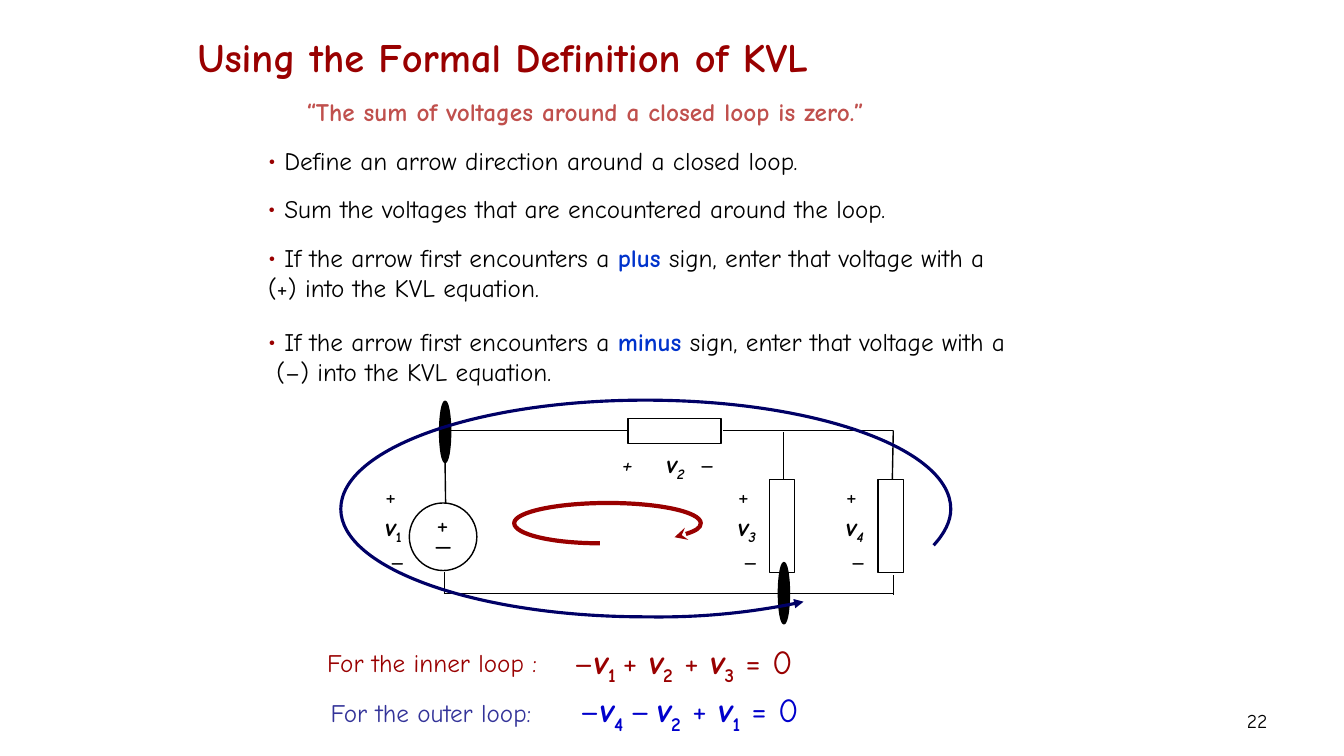
"""Build a slide on the formal definition of Kirchhoff's voltage law."""
from lxml.etree import SubElement
from pptx import Presentation
from pptx.dml.color import RGBColor
from pptx.enum.shapes import MSO_SHAPE as Shape
from pptx.enum.text import MSO_ANCHOR as Anchor, PP_ALIGN as Align
from pptx.oxml.ns import qn
from pptx.util import Inches, Pt

FONT = "Comic Neue"
BLACK, RED, NAVY, BLUE = "000000", "990000", "000066", "0033CC"


def color(hex_code):
    return RGBColor.from_string(hex_code)


def add_text(left, top, width, height, lines, size=18, ink=BLACK, align=Align.LEFT):
    """Add a text box; each line is a list of (text, marks, optional colour)."""
    box = page.shapes.add_textbox(Inches(left), Inches(top), Inches(width), Inches(height))
    frame = box.text_frame
    frame.word_wrap = True
    for index, line in enumerate(lines):
        para = frame.add_paragraph() if index else frame.paragraphs[0]
        para.alignment = align
        para.font.name, para.font.size = FONT, Pt(size)
        para.font.color.rgb = color(ink)
        for text, marks, *own_ink in line:
            for part_index, part in enumerate(text.split("\n")):
                if part_index:
                    para.add_line_break()
                span = para.add_run()
                span.text = part
                if "b" in marks:
                    span.font.bold = True
                if "i" in marks:
                    span.font.italic = True
                if "_" in marks:
                    span._r.get_or_add_rPr().set("baseline", "-25000")
                if own_ink:
                    span.font.color.rgb = color(own_ink[0])
    return frame


deck = Presentation()
deck.slide_width, deck.slide_height = Inches(13.33), Inches(7.5)
page = deck.slides.add_slide(deck.slide_layouts[5])

title = page.shapes.title
title.left, title.top, title.width, title.height = map(Inches, (1.86, 0.2, 7.8, 0.71))
title.text_frame.text = "Using the Formal Definition of KVL"
title.text_frame.vertical_anchor = Anchor.MIDDLE
heading = title.text_frame.paragraphs[0]
heading.alignment = Align.LEFT
heading.font.name, heading.font.size, heading.font.bold = FONT, Pt(28.8), True
heading.font.color.rgb = color(RED)

number = add_text(9.56, 6.95, 3.11, 0.4, [[("22", "")]], 14, align=Align.RIGHT)
number.vertical_anchor = Anchor.MIDDLE

wires = [
    (4.41, 4.28, 4.42, 5), (4.41, 5.82, 4.41, 5.67),
    (4.4, 4.27, 6.27, 4.27), (7.17, 4.27, 8.86, 4.27),
    (7.77, 5.88, 7.77, 5.68), (7.77, 4.29, 7.77, 4.77),
    (8.86, 4.27, 8.85, 4.76), (8.86, 5.9, 8.86, 5.7),
    (4.4, 5.89, 8.86, 5.89), (4.41, 5.89, 4.41, 5.72),
]
for ends in wires:
    wire = page.shapes.add_connector(1, *map(Inches, ends))
    wire.line.color.rgb = color(BLACK)
    wire.line.width = Pt(1)
    SubElement(wire._element.spPr, qn("a:effectLst"))

parts = [
    (Shape.OVAL, 4.06, 4.99, 0.67, 0.67, "FFFFFF"),
    (Shape.RECTANGLE, 6.23, 4.15, 0.92, 0.25, "FFFFFF"),
    (Shape.RECTANGLE, 7.63, 4.76, 0.25, 0.92, "FFFFFF"),
    (Shape.RECTANGLE, 8.71, 4.76, 0.25, 0.92, "FFFFFF"),
    (Shape.OVAL, 4.36, 3.98, 0.11, 0.61, BLACK),
    (Shape.OVAL, 7.72, 5.58, 0.11, 0.61, BLACK),
]
for kind, left, top, width, height, fill in parts:
    part = page.shapes.add_shape(kind, *map(Inches, (left, top, width, height)))
    part.shadow.inherit = False
    part.fill.solid()
    part.fill.fore_color.rgb = color(fill)
    part.line.color.rgb = color(BLACK)
    part.line.width = Pt(1)

add_text(4.23, 4.98, 0.34, 0.44, [[("+", "")]], 20)
add_text(4.23, 5.1, 0.38, 0.44, [[("_", "")]], 20)
across = add_text(6.07, 4.4, 1.2, 0.4,
                  [[("+\t", "i"), ("v", "bi"), ("2", "bi_"), ("\t–", "")]])
props = across.paragraphs[0]._p.get_or_add_pPr()
stops = SubElement(props, qn("a:tabLst"))
for stop in (0.44, 0.77):
    SubElement(stops, qn("a:tab"), pos=str(Inches(stop)), algn="l")
props.append(props.find(qn("a:defRPr")))
for left, digit, digit_marks in [(7.22, "3", "bi_"), (8.29, "4", "bi_"), (3.72, "1", "b_")]:
    add_text(left, 4.72, 0.49, 1,
             [[("+", "")], [("v", "bi"), (digit, digit_marks)], [(" ", "_"), ("–", "")]])

inner_curve = [
    (5.95, 5.39), (5.47, 5.39), (5.1, 5.3), (5.1, 5.19), (5.1, 5.08), (5.52, 4.99),
    (6.03, 4.99), (6.54, 4.99), (6.95, 5.08), (6.95, 5.19), (6.95, 5.24), (6.86, 5.29),
    (6.69, 5.33),
]
outer_curve = [
    (9.26, 5.41), (9.37, 5.29), (9.43, 5.17), (9.43, 5.05), (9.43, 4.45), (8.08, 3.97),
    (6.4, 3.97), (4.73, 3.97), (3.38, 4.45), (3.38, 5.05), (3.38, 5.64), (4.73, 6.12),
    (6.4, 6.12), (6.95, 6.13), (7.5, 6.07), (7.97, 5.97),
]
loops = [(inner_curve, RED, 3, "stealth"), (outer_curve, NAVY, 2.25, "triangle")]
for curve, ink, weight, head in loops:
    points = [(Inches(x), Inches(y)) for x, y in curve]
    builder = page.shapes.build_freeform(*points[0])
    builder.add_line_segments(points[1:], close=False)
    loop = builder.convert_to_shape()
    segments = list(loop._element.iter(qn("a:lnTo")))
    outline = segments[0].getparent()
    for first in range(0, len(segments), 3):
        bezier = SubElement(outline, qn("a:cubicBezTo"))
        for segment in segments[first:first + 3]:
            bezier.append(segment[0])
            outline.remove(segment)
    loop.shadow.inherit = False
    loop.fill.background()
    loop.line.color.rgb = color(ink)
    loop.line.width = Pt(weight)
    SubElement(loop.line._get_or_add_ln(), qn("a:tailEnd"), type=head)

first_sign = " If the arrow first encounters a "
enter_sign = " sign, enter that voltage with a \n"
rules = [
    (1.87, 7.23, 0.4, [(" Sum the voltages that are encountered around the loop.", "")]),
    (1.39, 5.89, 0.4, [(" Define an arrow direction around a closed loop.", "")]),
    (2.35, 8.32, 0.71, [(first_sign, ""), ("plus", "b", BLUE),
                        (enter_sign + "(+) into the KVL equation.", "")]),
    (3.19, 8.52, 0.71, [(first_sign, ""), ("minus", "b", BLUE),
                        (enter_sign + " (–) into the KVL equation.", "")]),
]
for top, width, height, line in rules:
    frame = add_text(2.56, top, width, height, [line])
    props = frame.paragraphs[0]._p.get_or_add_pPr()
    bullet_color = SubElement(props, qn("a:buClr"))
    SubElement(bullet_color, qn("a:srgbClr"), val=RED)
    SubElement(props, qn("a:buFont"), typeface=FONT)
    SubElement(props, qn("a:buChar"), char="•")
    props.append(props.find(qn("a:defRPr")))

add_text(2.43, 0.91, 6.66, 0.4,
         [[(" “The sum of voltages around a closed loop is zero.”", "b")]],
         ink="C0504D", align=Align.CENTER)

equations = [
    ("For the inner loop :", 2.45, 6.37, RED, 5.59, 6.31, RED,
     [("–", "", "1 "), ("+ ", "", "2"), (" + ", "", "3")]),
    ("For the outer loop:", 2.43, 6.87, "333399", 5.65, 6.79, "0000CC",
     [("–", "", "4 "), ("–", " ", "2"), (" + ", "", "1")]),
]
for label, width, top, label_ink, sum_left, sum_top, sum_ink, terms in equations:
    add_text(3.06, top, width, 0.4, [[(label, "")]], ink=label_ink, align=Align.CENTER)
    line = []
    for sign, small_gap, digit in terms:
        line.append((sign, ""))
        if small_gap:
            line.append((small_gap, "_"))
        line += [("v", "bi"), (digit, "b_")]
    add_text(sum_left, sum_top, 2.6, 0.5, [line + [(" = 0", "")]], 24, sum_ink)

deck.save("out.pptx")
